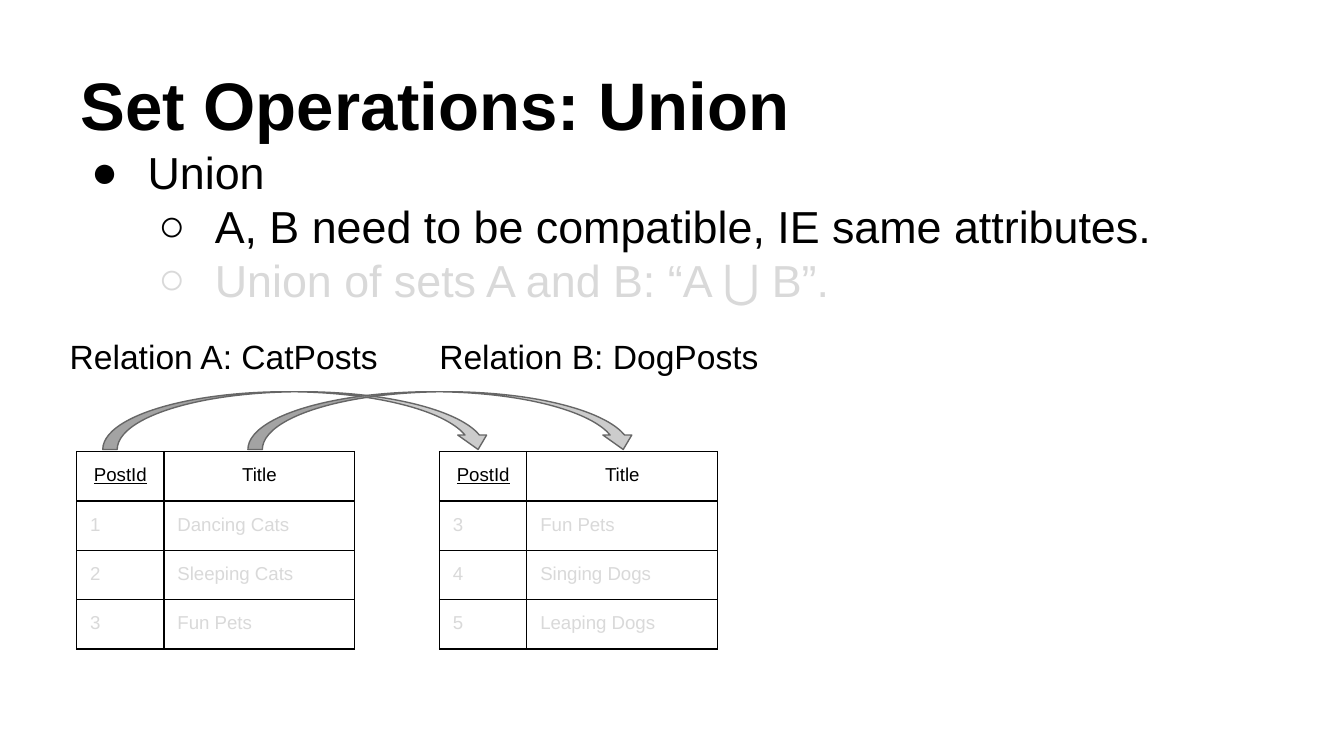
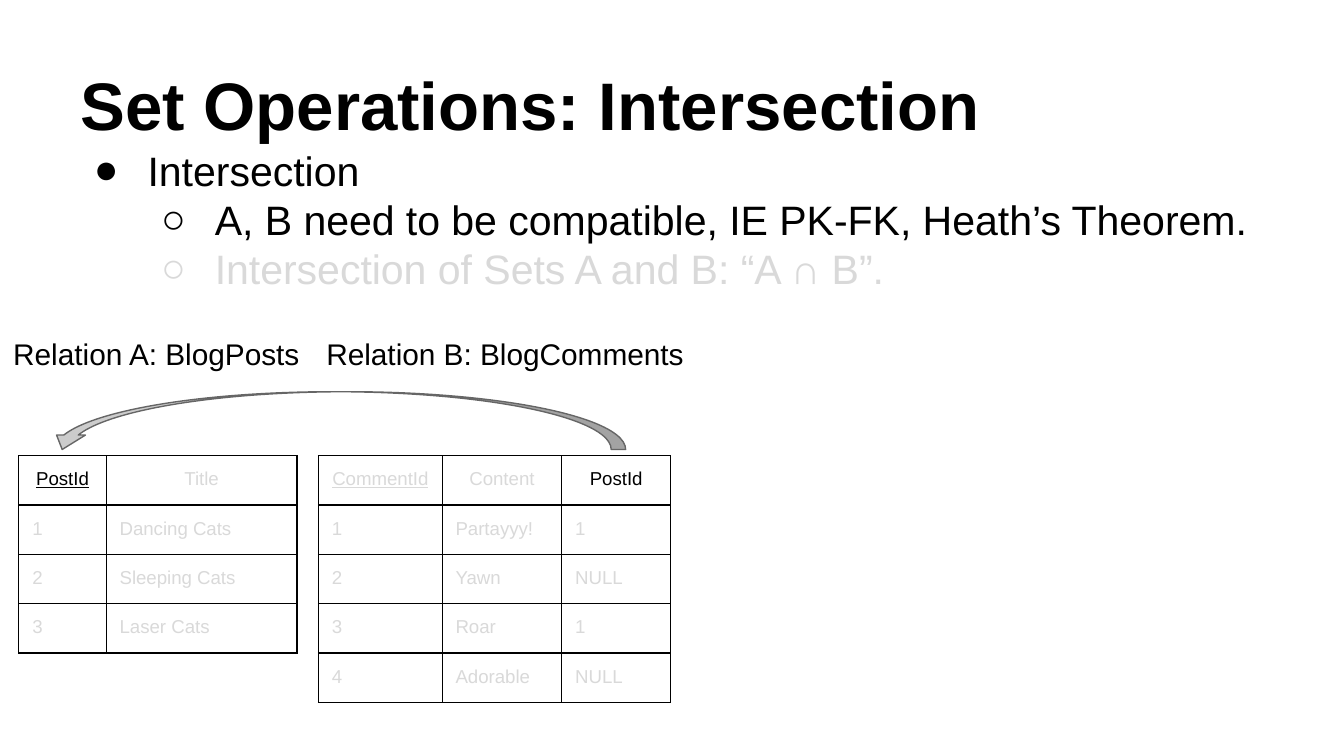
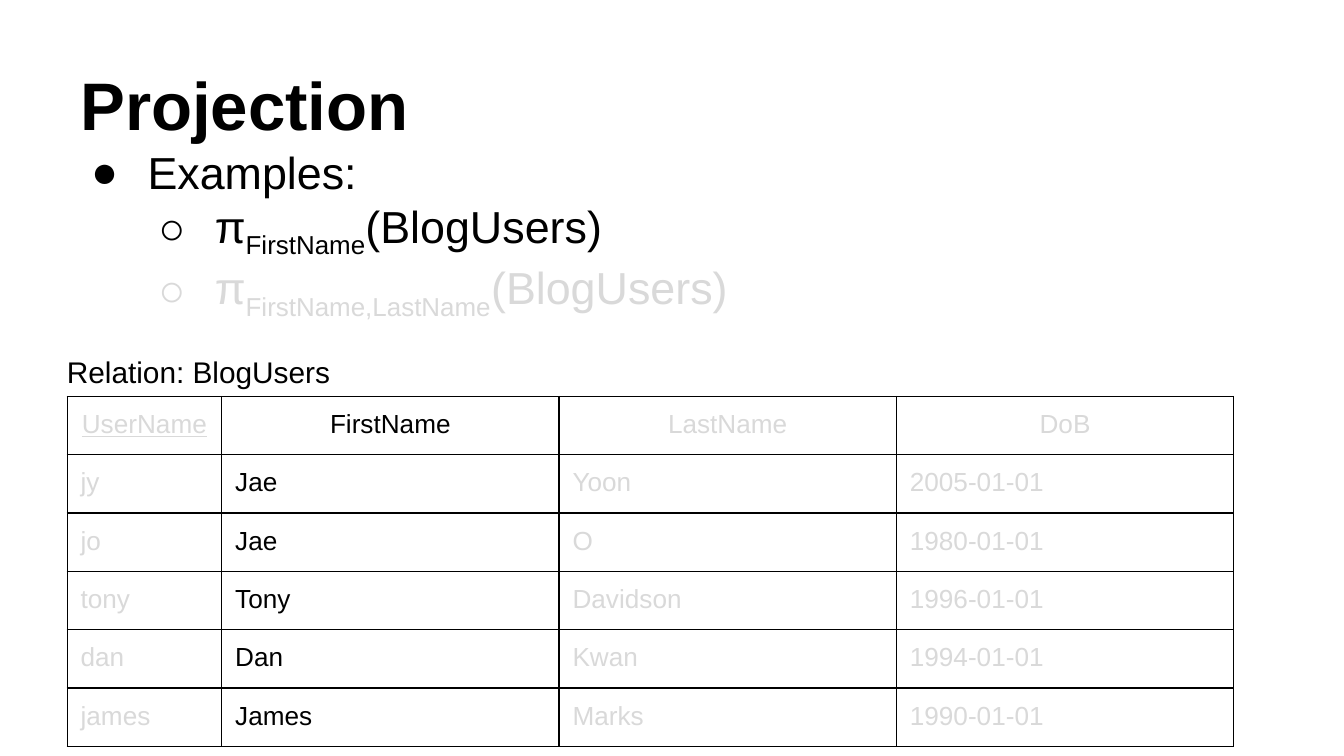
"""Build three slides on relational set operations and projection."""
from pptx import Presentation
from pptx.dml.color import RGBColor
from pptx.enum import shapes, text
from pptx.oxml import parse_xml
from pptx.oxml.ns import nsdecls
from pptx.util import Inches, Pt

BLACK = RGBColor(0x00, 0x00, 0x00)
FADED = RGBColor(0xD9, 0xD9, 0xD9)
ARROW_FILL = RGBColor(0xCC, 0xCC, 0xCC)
ARROW_LINE = RGBColor(0x66, 0x66, 0x66)
FONT = "Arial"
MARGINS = dict.fromkeys(("margin_left", "margin_top", "margin_right", "margin_bottom"), Inches(0.1))
BULLETS = "●○"
ROW = 0.32


def set_attrs(obj, values):
    """Set each named attribute of an object."""
    for name, value in values.items():
        setattr(obj, name, value)


def add_run(p, words, size, color=BLACK, **extra):
    """Add a formatted run to a paragraph."""
    r = p.add_run()
    r.text = words
    r.font.color.rgb = color
    set_attrs(r.font, {"name": FONT, "size": Pt(size), **extra})
    return r


def end_paragraph(p, size):
    """Give the end of a paragraph the font of its text."""
    p._p.append(parse_xml(f'<a:endParaRPr {nsdecls("a")} sz="{size * 100}">'
                          f'<a:latin typeface="{FONT}"/></a:endParaRPr>'))


def add_box(s, left, top, width, height, anchor=text.MSO_ANCHOR.TOP):
    """Add a wrapping text box and return its text frame."""
    tf = s.shapes.add_textbox(*map(Inches, (left, top, width, height))).text_frame
    set_attrs(tf, {"word_wrap": True, "vertical_anchor": anchor, **MARGINS})
    return tf


def add_title_slide(prs, title):
    """Add a blank slide with the shared title style."""
    s = prs.slides.add_slide(prs.slide_layouts[6])
    tf = add_box(s, 0.5, 0.23, 9, 0.94, text.MSO_ANCHOR.BOTTOM)
    add_run(tf.paragraphs[0], title, 36, bold=True)
    return s


def add_label(s, left, top, width, words, size):
    """Add the caption of a relation."""
    add_run(add_box(s, left, top, width, 0.61).paragraphs[0], words, size)


def add_bullet(p, level, color, hang):
    """Give a paragraph its bullet and hanging indent."""
    p.level = level
    pPr = p._p.get_or_add_pPr()
    pPr.set("marL", str(Inches(0.5 * (level + 1))))
    pPr.set("indent", str(-Inches(hang)))
    for xml in (f'<a:buClr {nsdecls("a")}><a:srgbClr val="{color}"/></a:buClr>',
                f'<a:buFont {nsdecls("a")} typeface="{FONT}"/>',
                f'<a:buChar {nsdecls("a")} char="{BULLETS[level]}"/>'):
        pPr.append(parse_xml(xml))


def add_bullets(s, width, height, size, hang, lines):
    """Add a heading, an active point and a faded point; odd pieces are subscripts."""
    tf = add_box(s, 0.5, 0.98, width, height)
    for i, (pieces, level, color) in enumerate(zip(lines, (0, 1, 1), (BLACK, BLACK, FADED))):
        p = tf.add_paragraph() if i else tf.paragraphs[0]
        add_bullet(p, level, color, hang)
        for j, piece in enumerate(pieces):
            r = add_run(p, piece, size, color)
            if j % 2:
                r.font._element.set("baseline", "-25000")


def set_borders(cell):
    """Draw thin black lines on all four sides of a cell."""
    tcPr = cell._tc.get_or_add_tcPr()
    for i, side in enumerate("LRTB"):
        tcPr.insert(i, parse_xml(
            f'<a:ln{side} {nsdecls("a")} w="{Pt(0.75)}"><a:solidFill>'
            f'<a:srgbClr val="{BLACK}"/></a:solidFill></a:ln{side}>'))


def add_relation(s, left, top, cols, heights, rows, is_active, size=10):
    """Add a relation whose first column is the underlined key."""
    box = map(Inches, (left, top, sum(cols), sum(heights)))
    table = s.shapes.add_table(len(rows), len(cols), *box).table
    set_attrs(table, {"first_row": False, "horz_banding": False})
    for col, width in zip(table.columns, cols):
        col.width = Inches(width)
    for i, (row, height) in enumerate(zip(rows, heights)):
        table.rows[i].height = Inches(height)
        for j, words in enumerate(row):
            cell = table.cell(i, j)
            set_attrs(cell, MARGINS)
            cell.fill.background()
            set_borders(cell)
            p = cell.text_frame.paragraphs[0]
            p.alignment = text.PP_ALIGN.LEFT if i else text.PP_ALIGN.CENTER
            add_run(p, words, size, BLACK if is_active(i, j) else FADED,
                    underline=i == 0 and j == 0)
            end_paragraph(p, size)


def add_arrow(s, left, top, length, rotation, flip=False):
    """Add a curved arrow that links matching attributes."""
    sp = s.shapes.add_shape(shapes.MSO_SHAPE.CURVED_RIGHT_ARROW,
                            *map(Inches, (left, top, 0.43, length)))
    sp.rotation = rotation
    sp.shadow.inherit = False
    sp.fill.solid()
    sp.fill.fore_color.rgb = ARROW_FILL
    sp.line.color.rgb = ARROW_LINE
    sp.line.width = Pt(0.75)
    if flip:
        sp._element.spPr.xfrm.set("flipH", "1")


def add_union(prs):
    """Build the union slide."""
    s = add_title_slide(prs, "Set Operations: Union")
    add_bullets(s, 9.13, 1.46, 24, 0.42, [
        ["Union"],
        ["A, B need to be compatible, IE same attributes."],
        ["Union of sets A and B: “A ⋃ B”."]])
    relations = [
        ("Relation A: CatPosts", 0.42, 0.57,
         [("1", "Dancing Cats"), ("2", "Sleeping Cats"), ("3", "Fun Pets")]),
        ("Relation B: DogPosts", 3.17, 3.27,
         [("3", "Fun Pets"), ("4", "Singing Dogs"), ("5", "Leaping Dogs")])]
    for label, label_left, left, posts in relations:
        add_label(s, label_left, 2.4, 2.75, label, 18)
        add_relation(s, left, 3.36, (0.65, 1.42), [ROW] * 4,
                     [("PostId", "Title"), *posts], lambda i, j: i == 0)
    for left in (2, 3.08):
        add_arrow(s, left, 1.68, 2.9, 270, flip=True)


def add_intersection(prs):
    """Build the intersection slide."""
    s = add_title_slide(prs, "Set Operations: Intersection")
    add_bullets(s, 9.5, 1.51, 22, 0.4, [
        ["Intersection"],
        ["A, B need to be compatible, IE PK-FK, Heath’s Theorem."],
        ["Intersection of Sets A and B: “A ∩ B”."]])
    add_relation(s, 0.14, 3.39, (0.65, 1.42), [ROW] * 4, [
        ("PostId", "Title"), ("1", "Dancing Cats"), ("2", "Sleeping Cats"),
        ("3", "Laser Cats")], lambda i, j: (i, j) == (0, 0))
    add_relation(s, 2.37, 3.39, (0.92, 0.89, 0.81), [ROW] * 5, [
        ("CommentId", "Content", "PostId"), ("1", "Partayyy!", "1"), ("2", "Yawn", "NULL"),
        ("3", "Roar", "1"), ("4", "Adorable", "NULL")], lambda i, j: (i, j) == (0, 2))
    add_label(s, 0, 2.4, 2.38, "Relation A: BlogPosts", 16)
    add_label(s, 2.33, 2.4, 3, "Relation B: BlogComments", 16)
    add_arrow(s, 2.29, 0.98, 4.3, 90)


def add_projection(prs):
    """Build the projection slide."""
    s = add_title_slide(prs, "Projection")
    add_bullets(s, 9.13, 1.55, 24, 0.42, [
        ["Examples:"],
        ["π", "FirstName", "(BlogUsers)"],
        ["π", "FirstName,LastName", "(BlogUsers)"]])
    add_relation(s, 0.5, 2.95, (1.15, 2.51, 2.51, 2.51), [0.28] * 3 + [0.43] * 3, [
        ("UserName", "FirstName", "LastName", "DoB"),
        ("jy", "Jae", "Yoon", "2005-01-01"),
        ("jo", "Jae", "O", "1980-01-01"),
        ("tony", "Tony", "Davidson", "1996-01-01"),
        ("dan", "Dan", "Kwan", "1994-01-01"),
        ("james", "James", "Marks", "1990-01-01")], lambda i, j: j == 1, size=14)
    add_label(s, 0.4, 2.53, 2.6, "Relation: BlogUsers", 16)


def main():
    """Build and save the presentation."""
    prs = Presentation()
    set_attrs(prs, {"slide_width": Inches(10), "slide_height": Inches(10 * 9 / 16)})
    for add_slide in (add_union, add_intersection, add_projection):
        add_slide(prs)
    prs.save("out.pptx")


if __name__ == "__main__":
    main()
